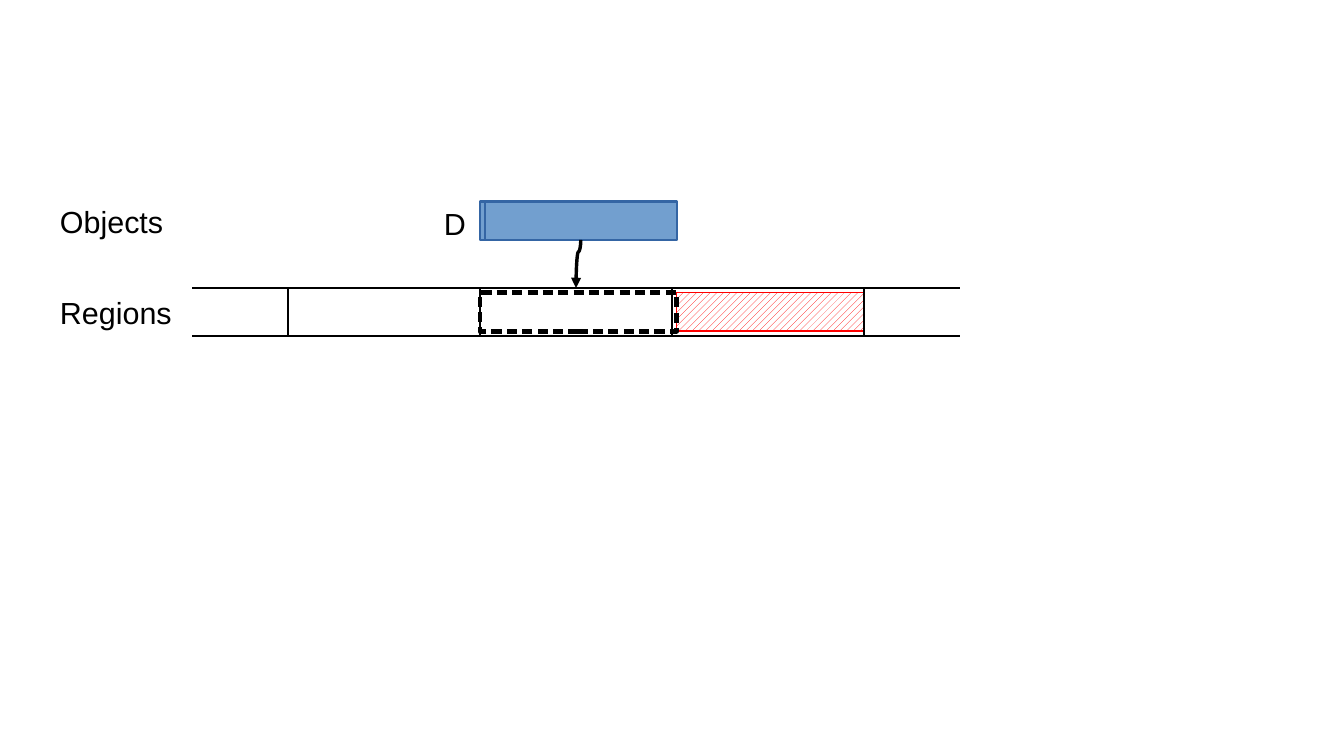
"""Build a slide showing object D spilling over from one memory region into the next."""
from dataclasses import dataclass

from lxml.etree import SubElement
from pptx import Presentation
from pptx.dml.color import RGBColor as Color
from pptx.enum.dml import MSO_PATTERN
from pptx.enum.shapes import MSO_CONNECTOR, MSO_SHAPE
from pptx.oxml.ns import qn
from pptx.util import Cm, Pt


@dataclass(frozen=True)
class Theme:
    font: str = "Arial"
    size: Pt = Pt(18)
    ink: Color = Color(0x00, 0x00, 0x00)
    paper: Color = Color(0xFF, 0xFF, 0xFF)
    waste: Color = Color(0xFF, 0x00, 0x00)
    object_fill: Color = Color(0x72, 0x9F, 0xCF)
    object_line: Color = Color(0x34, 0x65, 0xA4)
    hairline: Pt = Pt(0)
    thin: Pt = Pt(1.42)
    thick: Pt = Pt(2.83)


theme = Theme()
columns, rows = 28, 15.75
region_left, region_top, region_width, region_height = 6, 6, 4, 1
region_count = 3
region_bottom = region_top + region_height
region_right = region_left + region_count * region_width
inset = 0.1
object_left = region_left + region_width
object_top, object_height = 4.2, region_height - 2 * inset
object_width = region_width + inset
object_right = object_left + object_width

presentation = Presentation()
presentation.slide_width, presentation.slide_height = Cm(columns), Cm(rows)
slide = presentation.slides.add_slide(presentation.slide_layouts[6])


def add_box(left, top, width, height, line_color, line_width=theme.thin):
    shape = slide.shapes.add_shape(
        MSO_SHAPE.RECTANGLE, Cm(left), Cm(top), Cm(width), Cm(height))
    shape.shadow.inherit = False
    shape.fill.background()
    shape.line.color.rgb = line_color
    shape.line.width = line_width
    return shape


def add_line(kind, start, end, width):
    connector = slide.shapes.add_connector(kind, *map(Cm, start + end))
    connector.line.color.rgb = theme.ink
    connector.line.width = width
    SubElement(connector._element.spPr, qn("a:effectLst"))
    return connector


waste = add_box(object_right, region_top + inset, region_right - object_right,
                object_height, theme.waste, theme.hairline)
waste.fill.patterned()
waste.fill.pattern = MSO_PATTERN.WIDE_UPWARD_DIAGONAL
waste.fill.fore_color.rgb = theme.waste
waste.fill.back_color.rgb = theme.paper

for index in range(region_count):
    add_box(region_left + index * region_width, region_top,
            region_width, region_height, theme.ink)

for left, width in ((object_left + inset, region_width), (object_left, inset)):
    part = add_box(left, object_top, width, object_height, theme.object_line)
    part.fill.solid()
    part.fill.fore_color.rgb = theme.object_fill

footprint = add_box(object_left, region_top + inset, object_width,
                    object_height, theme.ink, theme.thick)
dashes = SubElement(footprint.line._get_or_add_ln(), qn("a:custDash"))
SubElement(dashes, qn("a:ds"), d="210000", sp="110000")

for text, left, top, width, height in (
        ("Regions", 1, region_top, 3, 1.68),
        ("Objects", 1, 4.1, 3, 1.68),
        ("D", 9, 4.15, 2.2, 0.97)):
    label = slide.shapes.add_textbox(Cm(left), Cm(top), Cm(width), Cm(height))
    label.text_frame.word_wrap = True
    paragraph = label.text_frame.paragraphs[0]
    paragraph.text = text
    paragraph.font.name = theme.font
    paragraph.font.size = theme.size
    paragraph.font.color.rgb = theme.ink

for left in (region_left - region_width / 2, region_right):
    for top in (region_top, region_bottom):
        add_line(MSO_CONNECTOR.STRAIGHT, (left, top),
                 (left + region_width / 2, top), theme.thin)

object_bottom = object_top + object_height
half_length = (region_top - object_bottom) / 2
arrow_x = object_left + object_width / 2
arrow_y = object_bottom + half_length
arrow = add_line(MSO_CONNECTOR.CURVE,
                 (arrow_x - half_length, arrow_y - inset / 2),
                 (arrow_x + half_length, arrow_y + inset / 2), theme.hairline)
properties = arrow._element.spPr
properties.find(qn("a:xfrm")).set("rot", str(90 * 60000))
guides = properties.find(qn("a:prstGeom")).find(qn("a:avLst"))
SubElement(guides, qn("a:gd"), name="adj1", fmla="val 25000")
SubElement(arrow.line._get_or_add_ln(), qn("a:tailEnd"), type="triangle")

presentation.save("out.pptx")
